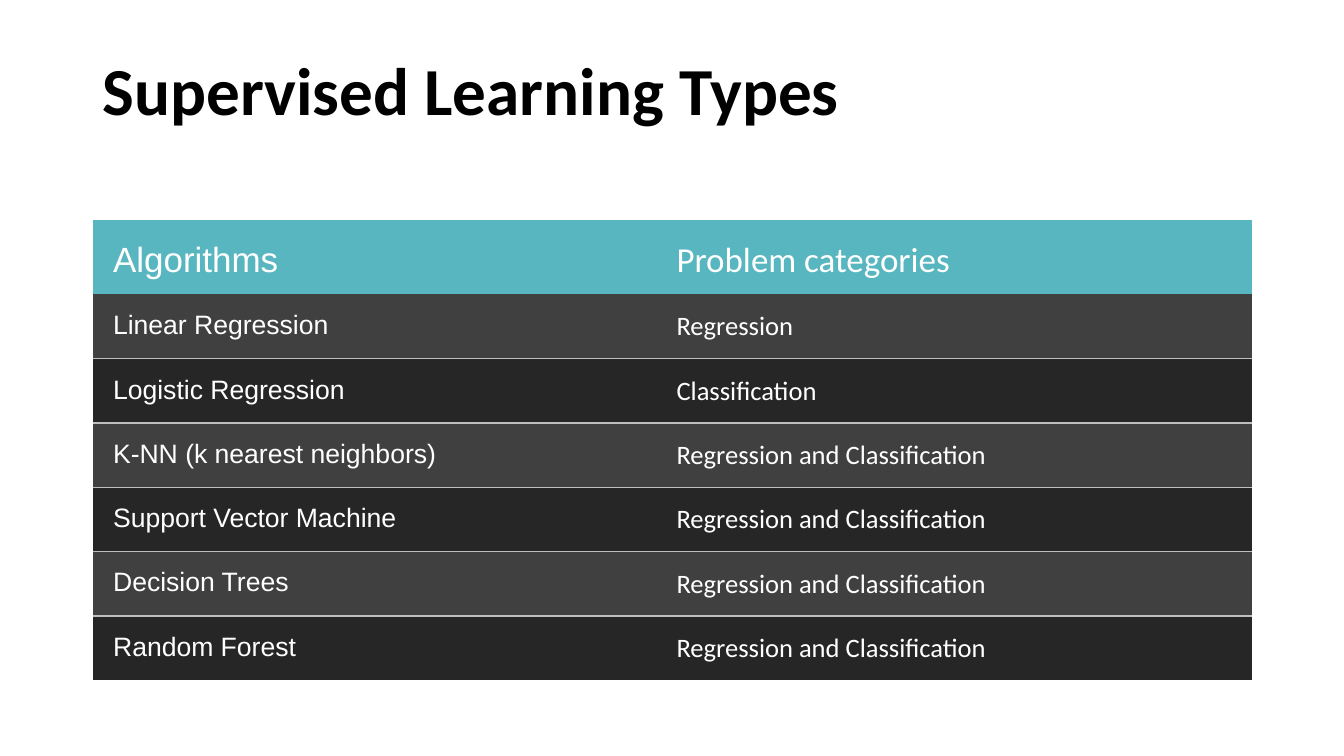
from dataclasses import dataclass

import pptx
import pptx.dml.color
import pptx.enum.text
import pptx.oxml
import pptx.oxml.ns
import pptx.util

Cm = pptx.util.Cm
Pt = pptx.util.Pt
RGBColor = pptx.dml.color.RGBColor
Anchor = pptx.enum.text.MSO_ANCHOR

BLACK = RGBColor(0x00, 0x00, 0x00)
WHITE = RGBColor(0xFF, 0xFF, 0xFF)
TEAL = RGBColor(0x58, 0xB6, 0xC0)
DARK_GREY = RGBColor(0x26, 0x26, 0x26)
MID_GREY = RGBColor(0x40, 0x40, 0x40)
RULE_GREY = RGBColor(0xBF, 0xBF, 0xBF)

PLAIN_TABLE_STYLE = "{2D5ABB26-0587-4C30-8999-92F81FD0307C}"
LEFT, WIDTH = Cm(2.34), Cm(29.21)
COLUMN_WIDTHS = (Cm(14.2), Cm(15.01))
COLUMN_FONTS = ("Arial", "Calibri")
CELL_FORMAT = {
    "margin_left": Cm(0.51),
    "margin_top": Cm(0.41),
    "margin_right": Cm(0.51),
    "margin_bottom": Cm(0.25),
}


@dataclass(frozen=True)
class RowStyle:
    height: int
    size: int
    fill: RGBColor
    anchor: Anchor = Anchor.TOP
    ruled: bool = False


HEADER = RowStyle(Cm(1.88), 25, TEAL, Anchor.MIDDLE)
BODY = (
    RowStyle(Cm(1.62), 19, MID_GREY),
    RowStyle(Cm(1.62), 19, DARK_GREY, ruled=True),
)

BOTH = "Regression and Classification"
ROWS = (
    ("Algorithms", "Problem categories"),
    ("Linear Regression", "Regression"),
    ("Logistic Regression", "Classification"),
    ("K-NN (k nearest neighbors)", BOTH),
    ("Support Vector Machine", BOTH),
    ("Decision Trees", BOTH),
    ("Random Forest", BOTH),
)


def apply_format(target: object, values: dict) -> None:
    for name, value in values.items():
        setattr(target, name, value)


def write_text(paragraph, text: str, font: str, size: int,
               color: RGBColor, bold: bool = False) -> None:
    run = paragraph.add_run()
    run.text = text
    apply_format(run.font, {"name": font, "size": Pt(size), "bold": bold})
    run.font.color.rgb = color


def add_top_rule(cell) -> None:
    line = pptx.oxml.parse_xml(
        f'<a:lnT {pptx.oxml.ns.nsdecls("a")} w="{Pt(1)}"><a:solidFill>'
        f'<a:srgbClr val="{RULE_GREY}"/></a:solidFill></a:lnT>'
    )
    cell._tc.get_or_add_tcPr().insert(0, line)


def add_title(slide) -> None:
    title = slide.shapes.add_textbox(LEFT, Cm(0.81), WIDTH, Cm(2.59))
    apply_format(title.text_frame, {"word_wrap": True, "vertical_anchor": Anchor.BOTTOM})
    paragraph = title.text_frame.paragraphs[0]
    apply_format(paragraph, {"line_spacing": 0.9, "space_after": Pt(6)})
    write_text(paragraph, "Supervised Learning Types", "Calibri", 48, BLACK, True)


def fill_cell(cell, text: str, font: str, style: RowStyle) -> None:
    apply_format(cell, CELL_FORMAT)
    cell.vertical_anchor = style.anchor
    cell.fill.solid()
    cell.fill.fore_color.rgb = style.fill
    write_text(cell.text_frame.paragraphs[0], text, font, style.size, WHITE)
    if style.ruled:
        add_top_rule(cell)


def add_algorithm_table(slide) -> None:
    styles = [HEADER] + [BODY[i % len(BODY)] for i in range(len(ROWS) - 1)]
    height = sum(style.height for style in styles)
    table = slide.shapes.add_table(
        len(ROWS), len(COLUMN_WIDTHS), LEFT, Cm(5.54), WIDTH, height
    ).table
    apply_format(table, {"first_row": True, "horz_banding": False})
    style_id = table._tbl.tblPr.find(pptx.oxml.ns.qn("a:tableStyleId"))
    style_id.text = PLAIN_TABLE_STYLE

    for column, width in zip(table.columns, COLUMN_WIDTHS):
        column.width = width
    for row, texts, style in zip(table.rows, ROWS, styles):
        row.height = style.height
        for cell, text, font in zip(row.cells, texts, COLUMN_FONTS):
            fill_cell(cell, text, font, style)


def main() -> None:
    presentation = pptx.Presentation()
    presentation.slide_width = Cm(33.87)
    presentation.slide_height = Cm(19.05)
    slide = presentation.slides.add_slide(presentation.slide_layouts[6])

    # Heading
    add_title(slide)
    # Algorithms and the problems they solve
    add_algorithm_table(slide)

    presentation.save("out.pptx")


if __name__ == "__main__":
    main()
